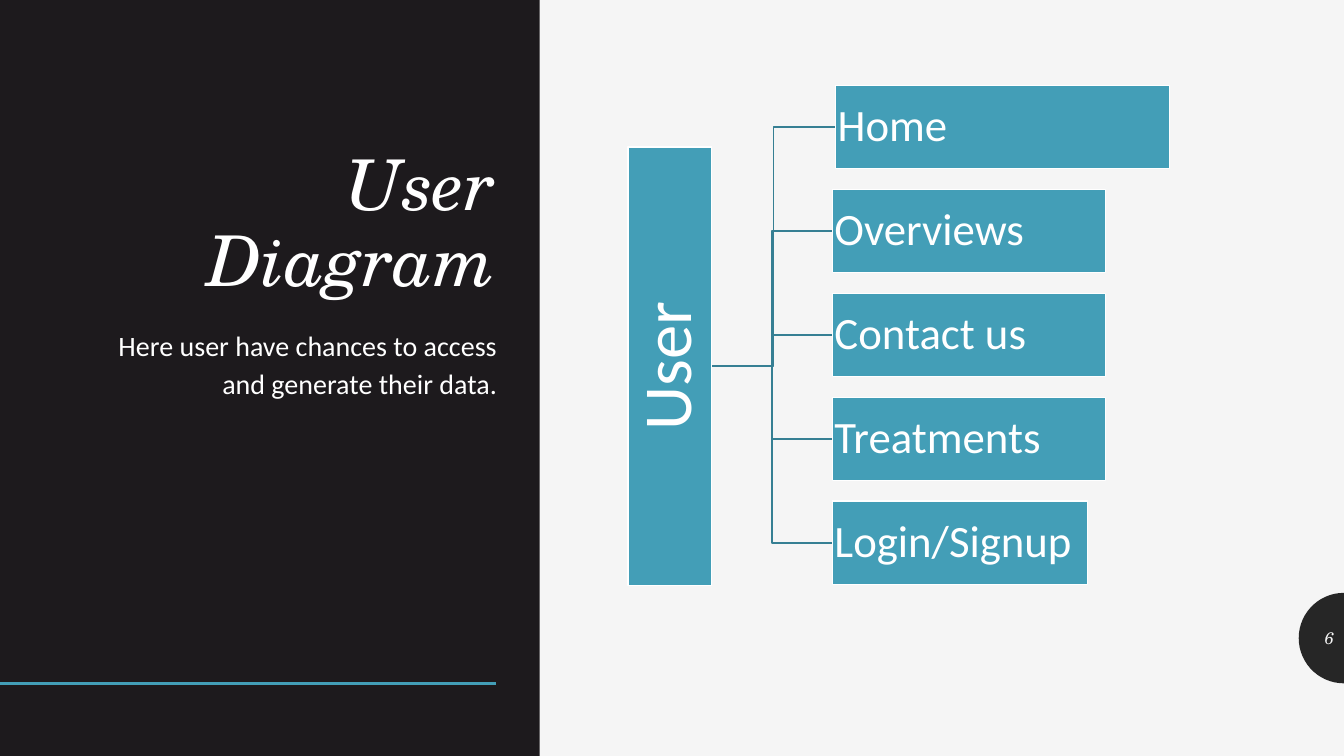
import dataclasses
import math
from typing import Any

import lxml.etree
import pptx
import pptx.dml.color
import pptx.enum.shapes
import pptx.enum.text
import pptx.oxml.ns
import pptx.util

Cm = pptx.util.Cm
Pt = pptx.util.Pt
ALIGN = pptx.enum.text.PP_ALIGN
ANCHOR = pptx.enum.text.MSO_ANCHOR

TEAL, DARK_TEAL = "439EB7", "367F93"
PANEL, BADGE = "1D1A1D", "262626"
PAPER, WHITE = "F5F5F5", "FFFFFF"
SERIF, SANS = "TeX Gyre Schola", "Calibri"

ROW_TOP, ROW_STEP, ROW_HEIGHT = 2.15, 2.62, 2.1
TRUNK_X, TRUNK_Y = 17.93, 9.22
BADGE_X, BADGE_Y, BADGE_RADIUS = 33.87, 16.08, 1.14


@dataclasses.dataclass
class Box:
    text: str
    left: float
    top: float
    width: float
    height: float
    size: float = 32
    align: Any = ALIGN.LEFT
    inset: float = 0.05
    rotation: float = 0


@dataclasses.dataclass
class Page:
    label: str
    left: float
    width: float


PAGES = [
    Page("Home", 21.06, 8.41),
    Page("Overviews", 20.98, 6.88),
    Page("Contact us", 20.98, 6.88),
    Page("Treatments", 20.98, 6.88),
    Page("Login/Signup", 20.98, 6.43),
]


def colour(value: str) -> pptx.dml.color.RGBColor:
    return pptx.dml.color.RGBColor.from_string(value)


def apply(target: Any, values: dict[str, Any]) -> None:
    for name, value in values.items():
        setattr(target, name, value)


def place(shape: Any, left: float, top: float, width: float, height: float) -> None:
    apply(shape, {"left": Cm(left), "top": Cm(top), "width": Cm(width), "height": Cm(height)})


def paint(shape: Any, fill: str | None, line: str | None = None) -> None:
    shape.shadow.inherit = False
    if fill:
        shape.fill.solid()
        shape.fill.fore_color.rgb = colour(fill)
    else:
        shape.fill.background()
    if line:
        shape.line.color.rgb = colour(line)
        shape.line.width = Pt(1)
    else:
        shape.line.fill.background()


def write(shape: Any, text: str, frame: dict[str, Any], paragraph: dict[str, Any],
          font: dict[str, Any], ink: str = WHITE) -> None:
    shape.text_frame.text = text
    apply(shape.text_frame, {"word_wrap": True, "auto_size": pptx.enum.text.MSO_AUTO_SIZE.NONE} | frame)
    line = shape.text_frame.paragraphs[0]
    apply(line, paragraph)
    apply(line.runs[0].font, font)
    line.runs[0].font.color.rgb = colour(ink)


def draw_path(slide: Any, points: list[tuple[float, float]], fill: str | None,
              line: str | None, close: bool) -> None:
    corners = [(Cm(x), Cm(y)) for x, y in points]
    builder = slide.shapes.build_freeform(*corners[0])
    builder.add_line_segments(corners[1:], close=close)
    paint(builder.convert_to_shape(), fill, line)


def draw_box(slide: Any, box: Box) -> None:
    shape = slide.shapes.add_shape(
        pptx.enum.shapes.MSO_SHAPE.RECTANGLE,
        Cm(box.left), Cm(box.top), Cm(box.width), Cm(box.height))
    shape.rotation = box.rotation
    paint(shape, TEAL, WHITE)
    sides = ("left", "top", "right", "bottom")
    margins = {f"margin_{side}": Cm(box.inset) for side in sides}
    write(shape, box.text, margins | {"vertical_anchor": ANCHOR.MIDDLE},
          {"alignment": box.align, "line_spacing": 0.9},
          {"name": SANS, "size": Pt(box.size)})


def draw_panel(slide: Any) -> None:
    panel = slide.shapes.add_shape(
        pptx.enum.shapes.MSO_SHAPE.RECTANGLE, 0, 0, Cm(13.6), Cm(19.05))
    paint(panel, PANEL)
    rule = slide.shapes.add_connector(
        pptx.enum.shapes.MSO_CONNECTOR.STRAIGHT, 0, Cm(17.22), Cm(12.5), Cm(17.22))
    rule.line.color.rgb = colour(TEAL)
    rule.line.width = Pt(2)
    lxml.etree.SubElement(rule.element.spPr, pptx.oxml.ns.qn("a:effectLst"))


def draw_heading(slide: Any) -> None:
    heading, summary = slide.shapes.title, slide.placeholders[1]
    for holder in (heading, summary):
        holder.element.getparent().append(holder.element)
    place(heading, 2.11, 1.55, 10.64, 6.17)
    write(heading, "User Diagram", {"vertical_anchor": ANCHOR.BOTTOM},
          {"alignment": ALIGN.RIGHT, "line_spacing": 0.9},
          {"name": SERIF, "size": Pt(50), "italic": True})
    place(summary, 2.11, 8.05, 10.67, 7.92)
    write(summary, "Here user have chances to access and generate their data.",
          {"vertical_anchor": ANCHOR.TOP},
          {"alignment": ALIGN.RIGHT, "line_spacing": 1.12, "space_before": Pt(9)},
          {"name": SANS, "size": Pt(20)})
    properties = summary.text_frame.paragraphs[0]._p.get_or_add_pPr()
    for name in ("marL", "indent"):
        properties.set(name, "0")
    lxml.etree.SubElement(properties, pptx.oxml.ns.qn("a:buNone"))


def draw_page_number(slide: Any) -> None:
    angles = [math.radians(degrees) for degrees in range(90, 271, 6)]
    arc = [(BADGE_X + BADGE_RADIUS * math.cos(angle), BADGE_Y - BADGE_RADIUS * math.sin(angle))
           for angle in angles]
    draw_path(slide, arc, BADGE, None, True)
    number = slide.shapes.add_textbox(Cm(32.73), Cm(15.57), Cm(1.14), Cm(1.02))
    write(number, "6", {"vertical_anchor": ANCHOR.MIDDLE}, {"alignment": ALIGN.RIGHT},
          {"name": SERIF, "size": Pt(12), "italic": True}, PAPER)


def draw_diagram(slide: Any) -> None:
    for row, page in reversed(list(enumerate(PAGES))):
        middle = ROW_TOP + row * ROW_STEP + ROW_HEIGHT / 2
        bend = (TRUNK_X + page.left) / 2
        route = [(TRUNK_X, TRUNK_Y), (bend, TRUNK_Y), (bend, middle), (page.left, middle)]
        draw_path(slide, route, None, DARK_TEAL, False)
    draw_box(slide, Box("User", 11.35, 8.18, 11.05, 2.1, 49, ALIGN.CENTER, 0.08, 270))
    for row, page in enumerate(PAGES):
        draw_box(slide, Box(page.label, page.left, ROW_TOP + row * ROW_STEP, page.width, ROW_HEIGHT))


def main() -> None:
    deck = pptx.Presentation()
    apply(deck, {"slide_width": Cm(33.87), "slide_height": Cm(19.05)})
    slide = deck.slides.add_slide(deck.slide_layouts[1])
    slide.background.fill.solid()
    slide.background.fill.fore_color.rgb = colour(PAPER)
    draw_panel(slide)
    draw_heading(slide)
    draw_page_number(slide)
    draw_diagram(slide)
    deck.save("out.pptx")


if __name__ == "__main__":
    main()
